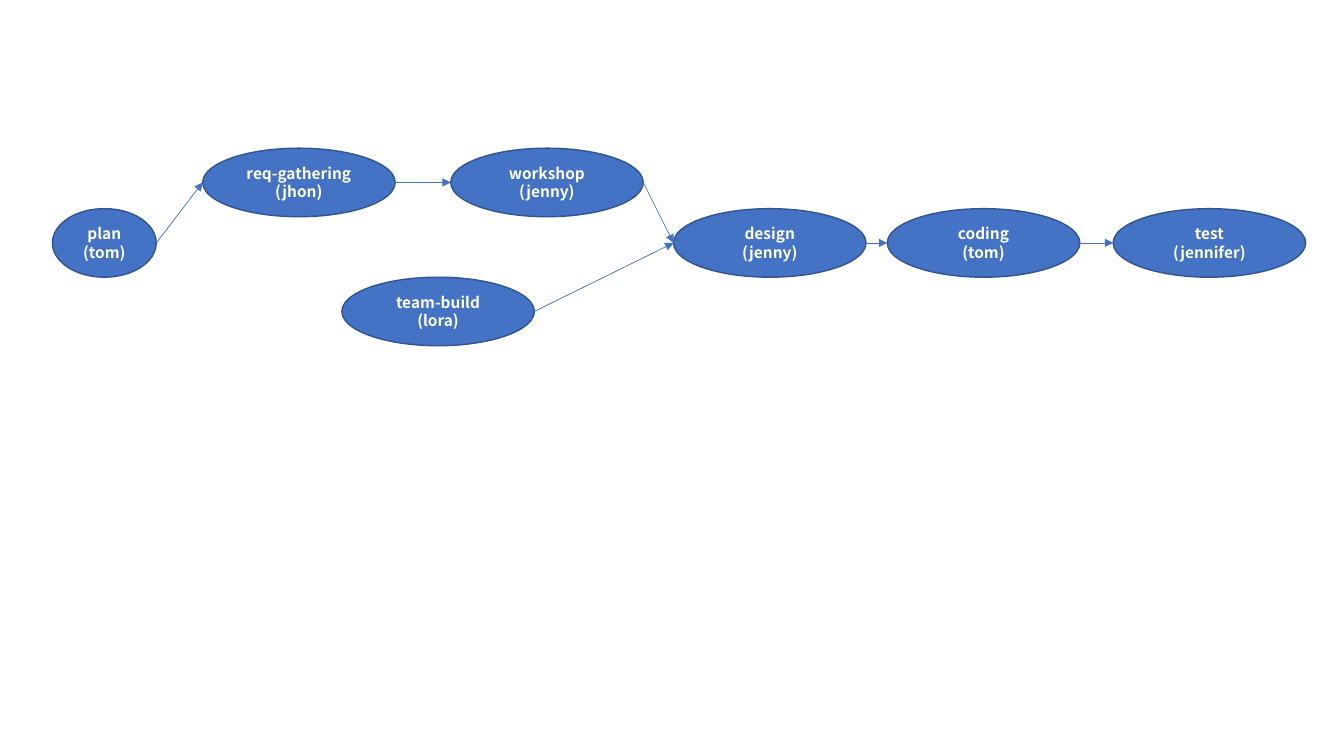
from pptx import Presentation
from pptx.dml.color import RGBColor
from pptx.enum import shapes, text
from pptx.oxml.ns import qn
from pptx.util import Inches, Pt
from lxml import etree

COLORS = {"fill": "4472C4", "outline": "325491", "text": "FFFFFF"}
FONT = "Noto Sans CJK KR"
HEIGHT = 0.68
UPPER, MIDDLE, LOWER = 1.47, 2.07, 2.75

prs = Presentation()
prs.slide_width, prs.slide_height = Inches(13.33), Inches(7.5)
s = prs.slides.add_slide(prs.slide_layouts[6])

# Tasks: name, person, left, top, width
tasks = [
    ("plan", "tom", 0.52, MIDDLE, 1.03),
    ("req-gathering", "jhon", 2.01, UPPER, 1.91),
    ("team-build", "lora", 3.39, LOWER, 1.91),
    ("workshop", "jenny", 4.47, UPPER, 1.91),
    ("design", "jenny", 6.68, MIDDLE, 1.91),
    ("coding", "tom", 8.8, MIDDLE, 1.91),
    ("test", "jennifer", 11.04, MIDDLE, 1.91),
]
nodes = {}
for name, person, left, top, width in tasks:
    sp = s.shapes.add_shape(shapes.MSO_SHAPE.OVAL, Inches(left), Inches(top),
                            Inches(width), Inches(HEIGHT))
    sp.shadow.inherit = False
    sp.fill.solid()
    sp.fill.fore_color.rgb = RGBColor.from_string(COLORS["fill"])
    sp.line.color.rgb = RGBColor.from_string(COLORS["outline"])
    sp.line.width = Pt(1)
    tf = sp.text_frame
    tf.word_wrap = True
    tf.vertical_anchor = text.MSO_ANCHOR.MIDDLE
    for i, line in enumerate((name, f"({person})")):
        p = tf.add_paragraph() if i else tf.paragraphs[0]
        p.alignment = text.PP_ALIGN.CENTER
        r = p.add_run()
        r.text = line
        r.font.name, r.font.size, r.font.bold = FONT, Pt(11), True
        r.font.color.rgb = RGBColor.from_string(COLORS["text"])
    nodes[name] = sp

# Arrows from the right end of one task to the left end of the next
links = [
    ("plan", "req-gathering"),
    ("req-gathering", "workshop"),
    ("team-build", "design"),
    ("workshop", "design"),
    ("design", "coding"),
    ("coding", "test"),
]
for start, end in links:
    a, b = nodes[start], nodes[end]
    c = s.shapes.add_connector(shapes.MSO_CONNECTOR.STRAIGHT,
                               a.left + a.width, a.top + a.height // 2,
                               b.left, b.top + b.height // 2)
    c.line.color.rgb = RGBColor.from_string(COLORS["fill"])
    c.line.width = Pt(0.5)
    ln = c._element.spPr.find(qn("a:ln"))
    etree.SubElement(ln, qn("a:tailEnd")).set("type", "triangle")
    etree.SubElement(c._element.spPr, qn("a:effectLst"))

prs.save("out.pptx")
